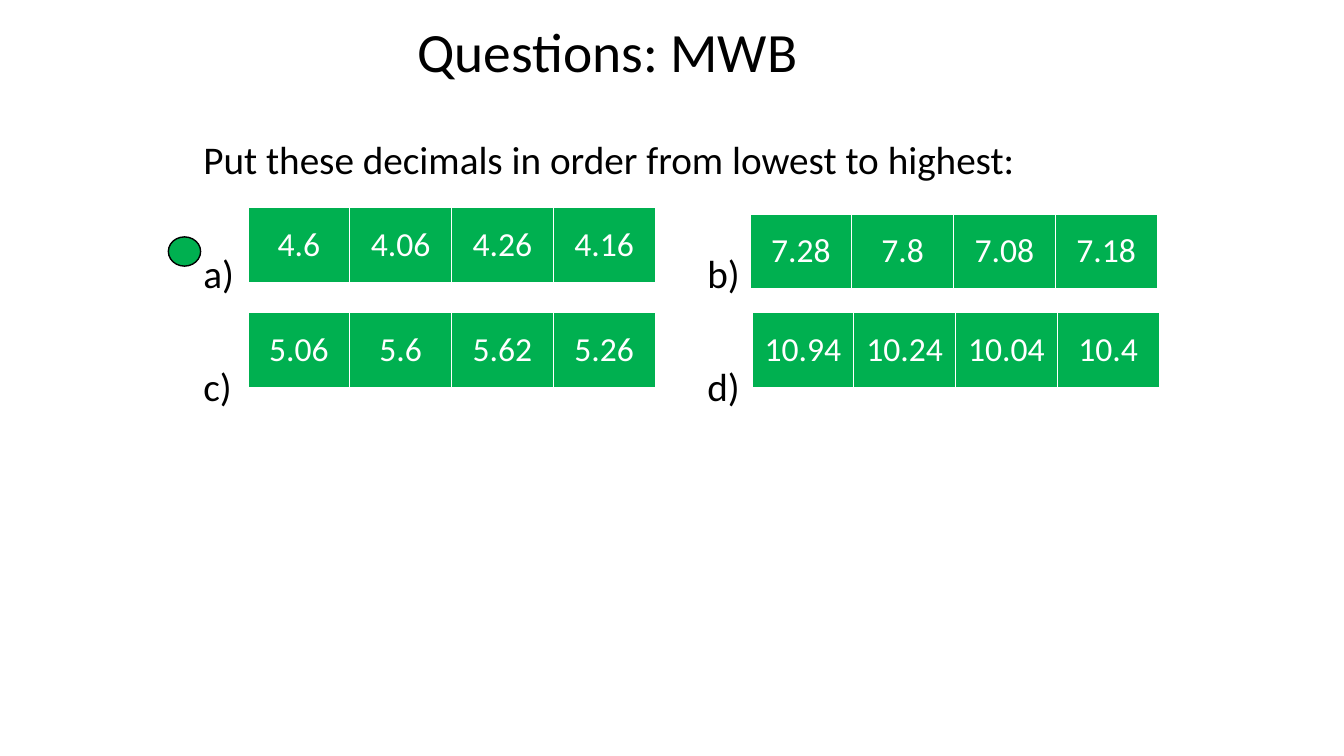
import pptx
import pptx.dml.color
import pptx.enum.shapes
import pptx.enum.text
import pptx.oxml.ns
import pptx.util
from lxml import etree

Pt = pptx.util.Pt
RGBColor = pptx.dml.color.RGBColor

TITLE = "Questions: MWB"
LINES = ["Put these decimals in order from lowest to highest:", "a)\tb)", "c)\td)"]
QUESTIONS = [
    (177.12, 147.6, ["4.6", "4.06", "4.26", "4.16"]),
    (535.68, 151.92, ["7.28", "7.8", "7.08", "7.18"]),
    (177.12, 222.48, ["5.06", "5.6", "5.62", "5.26"]),
    (537.12, 222.48, ["10.94", "10.24", "10.04", "10.4"]),
]

FONT = "Calibri"
GREEN = RGBColor(0x00, 0xB0, 0x50)
BLACK = RGBColor(0x00, 0x00, 0x00)
WHITE = RGBColor(0xFF, 0xFF, 0xFF)
CELL_WIDTH, CELL_HEIGHT = 72.72, 55.44
BORDERS = {"a:lnL": 1, "a:lnR": 1, "a:lnT": 3, "a:lnB": 3}
SECOND_COLUMN = 360
LINE_GAP = 50.7


def set_font(paragraph, size, color):
    paragraph.font.name = FONT
    paragraph.font.size = Pt(size)
    paragraph.font.color.rgb = color


def add_element(parent, tag, **attributes):
    return etree.SubElement(parent, pptx.oxml.ns.qn(tag), attributes)


def add_title(slide):
    title = slide.shapes.title
    title.left, title.top, title.width, title.height = Pt(290.88), Pt(18.72), Pt(501.84), Pt(41.04)
    frame = title.text_frame
    frame.text = TITLE
    frame.auto_size = pptx.enum.text.MSO_AUTO_SIZE.NONE
    frame.vertical_anchor = pptx.enum.text.MSO_ANCHOR.MIDDLE
    paragraph = frame.paragraphs[0]
    paragraph.alignment = pptx.enum.text.PP_ALIGN.LEFT
    paragraph.line_spacing = 0.9
    set_font(paragraph, 39.6, BLACK)


def add_instructions(slide):
    box = slide.shapes.add_textbox(Pt(138.24), Pt(97.2), Pt(681.84), Pt(442.8))
    frame = box.text_frame
    frame.word_wrap = True
    for index, line in enumerate(LINES):
        paragraph = frame.paragraphs[0] if index == 0 else frame.add_paragraph()
        paragraph.add_run().text = line
        paragraph.line_spacing = 0.9
        if index:
            paragraph.space_before = Pt(LINE_GAP)
            tabs = add_element(paragraph._p.get_or_add_pPr(), "a:tabLst")
            add_element(tabs, "a:tab", pos=str(Pt(SECOND_COLUMN)), algn="l")
        set_font(paragraph, 28, BLACK)


def format_cell(cell, text):
    cell.text = text
    cell.vertical_anchor = pptx.enum.text.MSO_ANCHOR.MIDDLE
    cell.margin_left = cell.margin_right = Pt(5)
    cell.margin_top = cell.margin_bottom = 0
    paragraph = cell.text_frame.paragraphs[0]
    paragraph.alignment = pptx.enum.text.PP_ALIGN.CENTER
    set_font(paragraph, 24, WHITE)
    properties = cell._tc.get_or_add_tcPr()
    for tag, width in BORDERS.items():
        border = add_element(properties, tag, w=str(Pt(width)))
        add_element(add_element(border, "a:solidFill"), "a:srgbClr", val=str(WHITE))
    cell.fill.solid()
    cell.fill.fore_color.rgb = GREEN


def add_decimals(slide, left, top, decimals):
    count = len(decimals)
    table = slide.shapes.add_table(
        1, count, Pt(left), Pt(top), Pt(CELL_WIDTH * count), Pt(CELL_HEIGHT)
    ).table
    for index, decimal in enumerate(decimals):
        table.columns[index].width = Pt(CELL_WIDTH)
        format_cell(table.cell(0, index), decimal)


def add_marker(slide):
    marker = slide.shapes.add_shape(
        pptx.enum.shapes.MSO_SHAPE.OVAL, Pt(120.24), Pt(169.2), Pt(23.04), Pt(20.88)
    )
    marker.shadow.inherit = False
    marker.fill.solid()
    marker.fill.fore_color.rgb = GREEN
    marker.line.color.rgb = BLACK
    marker.line.width = Pt(1)


def main():
    presentation = pptx.Presentation()
    presentation.slide_width, presentation.slide_height = Pt(960), Pt(540)
    slide = presentation.slides.add_slide(presentation.slide_layouts[5])
    add_title(slide)
    add_instructions(slide)
    for left, top, decimals in QUESTIONS:
        add_decimals(slide, left, top, decimals)
    add_marker(slide)
    presentation.save("out.pptx")


if __name__ == "__main__":
    main()
